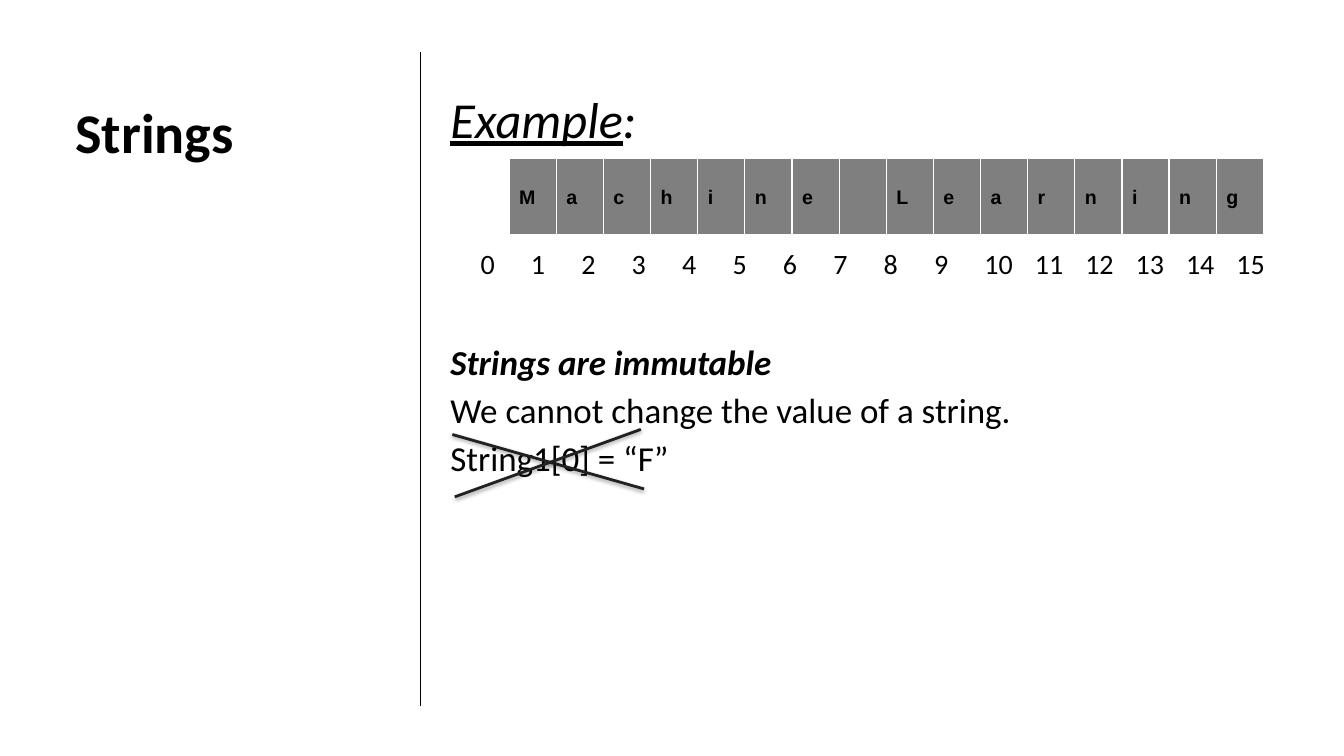
"""Build the slide on string indexing and immutability."""
from dataclasses import dataclass

from lxml import etree
from pptx import Presentation
from pptx import util as u
from pptx.dml import color
from pptx.enum import shapes, text
from pptx.oxml import ns

WORD = "Machine Learning"
TABLE_LEFT, TABLE_TOP, TABLE_WIDTH, TABLE_HEIGHT = 12.83, 3.99, 19.02, 1.96
CELL_WIDTH = TABLE_WIDTH / len(WORD)
BODY_LEFT, INSET, INDENT = 10.59, 0.25, 0.51


@dataclass(frozen=True)
class Line:
    """A straight line, with ends in centimetres."""
    start: tuple[float, float]
    end: tuple[float, float]
    ink: str
    width: float
    shadow: bool = False


DIVIDER = Line((BODY_LEFT, 1.32), (BODY_LEFT, 17.78), "000000", 0.75)
CROSS = [
    Line((11.4, 10.95), (16.23, 12.32), "212121", 2, True),
    Line((11.46, 12.52), (16.15, 10.82), "212121", 2, True),
]


def rgb(value: str) -> color.RGBColor:
    """Turn a hex string into a colour."""
    return color.RGBColor.from_string(value)


def add_node(parent, tag: str, **attributes):
    """Append a drawing element to its parent."""
    return etree.SubElement(parent, ns.qn(f"a:{tag}"), attributes)


def add_span(para, words: str, *, size: float, face: str = "Calibri", ink: str = "000000",
             bold: bool = False, italic: bool = False, underline: bool = False) -> None:
    """Add a formatted run to a paragraph."""
    span = para.add_run()
    span.text = words
    font = span.font
    font.size, font.name, font.color.rgb = u.Pt(size), face, rgb(ink)
    font.bold, font.italic, font.underline = bold, italic, underline


def format_para(para, before: float = 0, indent: float = INDENT) -> None:
    """Give a paragraph its spacing and indent, and no bullet."""
    para.alignment = text.PP_ALIGN.LEFT
    para.line_spacing = 1.15
    para.space_before, para.space_after = u.Pt(before), u.Pt(0)
    properties = para._p.get_or_add_pPr()
    properties.set("marL", str(u.Cm(indent)))
    properties.set("indent", "0")
    add_node(properties, "buNone")


def place(box, left: float, top: float, width: float, height: float):
    """Move a placeholder and return its prepared text frame."""
    box.left, box.top, box.width, box.height = map(u.Cm, (left, top, width, height))
    frame = box.text_frame
    frame.word_wrap = True
    frame.auto_size = text.MSO_AUTO_SIZE.NONE
    frame.vertical_anchor = text.MSO_ANCHOR.TOP
    frame.margin_left = frame.margin_right = u.Cm(INSET)
    frame.margin_top = frame.margin_bottom = u.Cm(INSET)
    return frame


def write_body(frame) -> None:
    """Write the example, the index row and the note on immutability."""
    heading = frame.paragraphs[0]
    format_para(heading)
    add_span(heading, "Example", size=36, italic=True, underline=True)
    add_span(heading, ":", size=36, italic=True)

    indices = frame.add_paragraph()
    format_para(indices, before=67, indent=0)
    stops = add_node(indices._p.get_or_add_pPr(), "tabLst")
    for index in range(len(WORD)):
        centre = TABLE_LEFT + (index + 0.5) * CELL_WIDTH - BODY_LEFT - INSET
        add_node(stops, "tab", pos=str(u.Cm(centre)), algn="ctr")
    add_span(indices, "".join(f"\t{index}" for index in range(len(WORD))), size=20)

    rule = frame.add_paragraph()
    format_para(rule, before=38)
    add_span(rule, "Strings are immutable", size=25, bold=True, italic=True)
    for words in ("We cannot change the value of a string.", "String1[0] = “F”"):
        para = frame.add_paragraph()
        format_para(para)
        add_span(para, words, size=25)


def add_line(page, line: Line) -> None:
    """Draw a line, with a soft shadow if it has one."""
    connector = page.shapes.add_connector(
        shapes.MSO_CONNECTOR.STRAIGHT, *map(u.Cm, line.start + line.end))
    connector.line.color.rgb = rgb(line.ink)
    connector.line.width = u.Pt(line.width)
    effects = add_node(connector._element.spPr, "effectLst")
    if line.shadow:
        shadow = add_node(effects, "outerShdw", blurRad=str(u.Pt(3.1)),
                          dist=str(u.Pt(1.6)), dir="5400000", rotWithShape="0")
        add_node(add_node(shadow, "srgbClr", val="000000"), "alpha", val="38000")


def format_cell(cell) -> None:
    """Give a cell its white borders and half-transparent fill."""
    cell.vertical_anchor = text.MSO_ANCHOR.MIDDLE
    properties = cell._tc.get_or_add_tcPr()
    for side, width in {"L": 1, "R": 1, "T": 1, "B": 3}.items():
        border = add_node(properties, f"ln{side}", w=str(u.Pt(width)))
        add_node(add_node(border, "solidFill"), "srgbClr", val="FFFFFF")
    cell.fill.solid()
    cell.fill.fore_color.rgb = rgb("000000")
    fill = properties.find(ns.qn("a:solidFill"))
    add_node(fill[0], "alpha", val="50000")


def add_letters(page) -> None:
    """Draw the word as a table with one letter in each cell."""
    table = page.shapes.add_table(
        1, len(WORD), *map(u.Cm, (TABLE_LEFT, TABLE_TOP, TABLE_WIDTH, TABLE_HEIGHT))).table
    table.first_row = table.horz_banding = False
    for index, letter in enumerate(WORD):
        table.columns[index].width = u.Cm(CELL_WIDTH)
        cell = table.cell(0, index)
        format_cell(cell)
        if letter.strip():
            add_span(cell.text_frame.paragraphs[0], letter, size=14, face="Arial", bold=True)


def main() -> None:
    """Build and save the deck."""
    deck = Presentation()
    deck.slide_width, deck.slide_height = u.Cm(33.87), u.Cm(19.05)
    page = deck.slides.add_slide(deck.slide_layouts[1])
    title = place(page.shapes.title, 1.14, 1.96, 9.42, 14.96).paragraphs[0]
    format_para(title)
    add_span(title, "Strings", size=40, bold=True)
    write_body(place(page.placeholders[1], BODY_LEFT, 1.73, 22.35, 15.42))
    add_line(page, DIVIDER)
    add_letters(page)
    for line in CROSS:
        add_line(page, line)
    deck.save("out.pptx")


if __name__ == "__main__":
    main()
